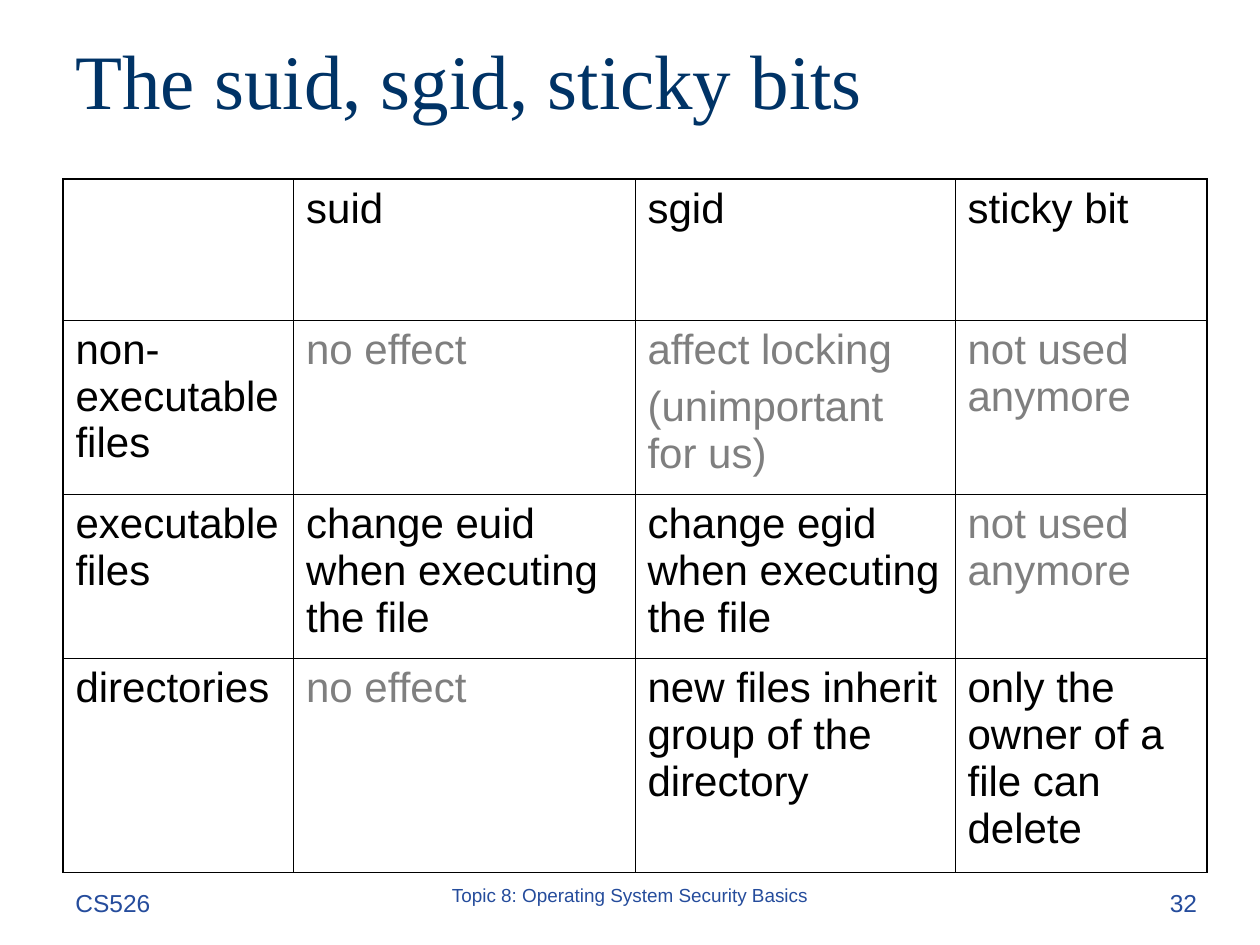
from lxml import etree
from pptx import Presentation, util as u
from pptx.dml.color import RGBColor
from pptx.enum import text
from pptx.oxml.ns import qn

COLORS = {"title": "003366", "footer": "254C9C", "body": "000000",
          "muted": "7F7F7F", "border": "000000"}
WIDTH, HEIGHT = 10, 7.5
THIN, THICK = 0.45, 1.08
COLUMNS = [1.83, 2.71, 2.54, 2]
ROWS = [1.12, 1.38, 1.3, 1.7]

# Each cell holds its paragraphs and the colour of its text.
CELLS = [
    [([], "body"), (["suid"], "body"), (["sgid"], "body"), (["sticky bit"], "body")],
    [(["non-executable files"], "body"), (["no effect"], "muted"),
     (["affect locking", "(unimportant for us)"], "muted"),
     (["not used anymore"], "muted")],
    [(["executable files"], "body"),
     (["change euid when executing the file"], "body"),
     (["change egid when executing the file"], "body"),
     (["not used anymore"], "muted")],
    [(["directories"], "body"), (["no effect"], "muted"),
     (["new files inherit group of the directory"], "body"),
     (["only the owner of a file can delete"], "body")],
]


class SlideBuilder:
    def __init__(self, deck):
        self.slide = deck.slides.add_slide(deck.slide_layouts[6])
        self.size = deck.slide_width, deck.slide_height

    def place(self, left, top, width, height):
        """Turn shares of the slide's size into lengths."""
        across, down = self.size
        return [int(share * side) for share, side in
                zip((left, top, width, height), (across, down, across, down))]

    def fill_text(self, frame, lines, size, color, font="Arial",
                  align=text.PP_ALIGN.LEFT, spacing=1.0, gap=0):
        frame.word_wrap = True
        for index, line in enumerate(lines):
            para = frame.add_paragraph() if index else frame.paragraphs[0]
            para.text = line
            para.alignment = align
            para.line_spacing = spacing
            para.space_before = u.Pt(gap if index else 0)
            para.font.name = font
            para.font.size = u.Pt(size)
            para.font.color.rgb = RGBColor.from_string(COLORS[color])

    def text_box(self, area, line, size, color,
                 anchor=text.MSO_ANCHOR.TOP, **style):
        frame = self.slide.shapes.add_textbox(*self.place(*area)).text_frame
        frame.vertical_anchor = anchor
        self.fill_text(frame, [line], size, color, **style)

    def borders(self, cell, widths):
        """Draw the left, right, top and bottom lines of a cell."""
        properties = cell._tc.get_or_add_tcPr()
        for index, (side, width) in enumerate(zip("LRTB", widths)):
            line = etree.Element(qn(f"a:ln{side}"), w=str(u.Pt(width)))
            fill = etree.SubElement(line, qn("a:solidFill"))
            etree.SubElement(fill, qn("a:srgbClr"), val=COLORS["border"])
            properties.insert(index, line)

    def table(self, left, top, columns, rows, cells):
        area = self.place(left, top, sum(columns) / WIDTH, sum(rows) / HEIGHT)
        table = self.slide.shapes.add_table(len(rows), len(columns), *area).table
        table.first_row = table.horz_banding = False
        for column, width in zip(table.columns, columns):
            column.width = u.Inches(width)
        for row, height in zip(table.rows, rows):
            row.height = u.Inches(height)
        for r, line in enumerate(cells):
            for c, (paragraphs, color) in enumerate(line):
                cell = table.cell(r, c)
                cell.fill.background()
                edges = (c == 0, c == len(columns) - 1, r == 0, r == len(rows) - 1)
                self.borders(cell, [THICK if edge else THIN for edge in edges])
                self.fill_text(cell.text_frame, paragraphs, 24, color, gap=6)


def main():
    deck = Presentation()
    deck.slide_width, deck.slide_height = u.Inches(WIDTH), u.Inches(HEIGHT)
    page = SlideBuilder(deck)
    footer_top, footer_height = 7 / HEIGHT, 0.5 / HEIGHT
    for left, width, line, size, align, spacing in [
        (0.05, 0.21, "CS526", 14, text.PP_ALIGN.LEFT, 1.0),
        (0.34, 0.32, "Topic 8: Operating System Security Basics", 10.8,
         text.PP_ALIGN.CENTER, 0.8),
        (0.75, 0.21, "32", 14, text.PP_ALIGN.RIGHT, 1.0),
    ]:
        page.text_box((left, footer_top, width, footer_height), line, size,
                      "footer", align=align, spacing=spacing)
    page.text_box((0.05, 0, 0.9, 1.25 / HEIGHT), "The suid, sgid, sticky bits", 44,
                  "title", anchor=text.MSO_ANCHOR.MIDDLE, font="Times New Roman")
    page.table(0.05, 1.42 / HEIGHT, COLUMNS, ROWS, CELLS)
    deck.save("out.pptx")


if __name__ == "__main__":
    main()
